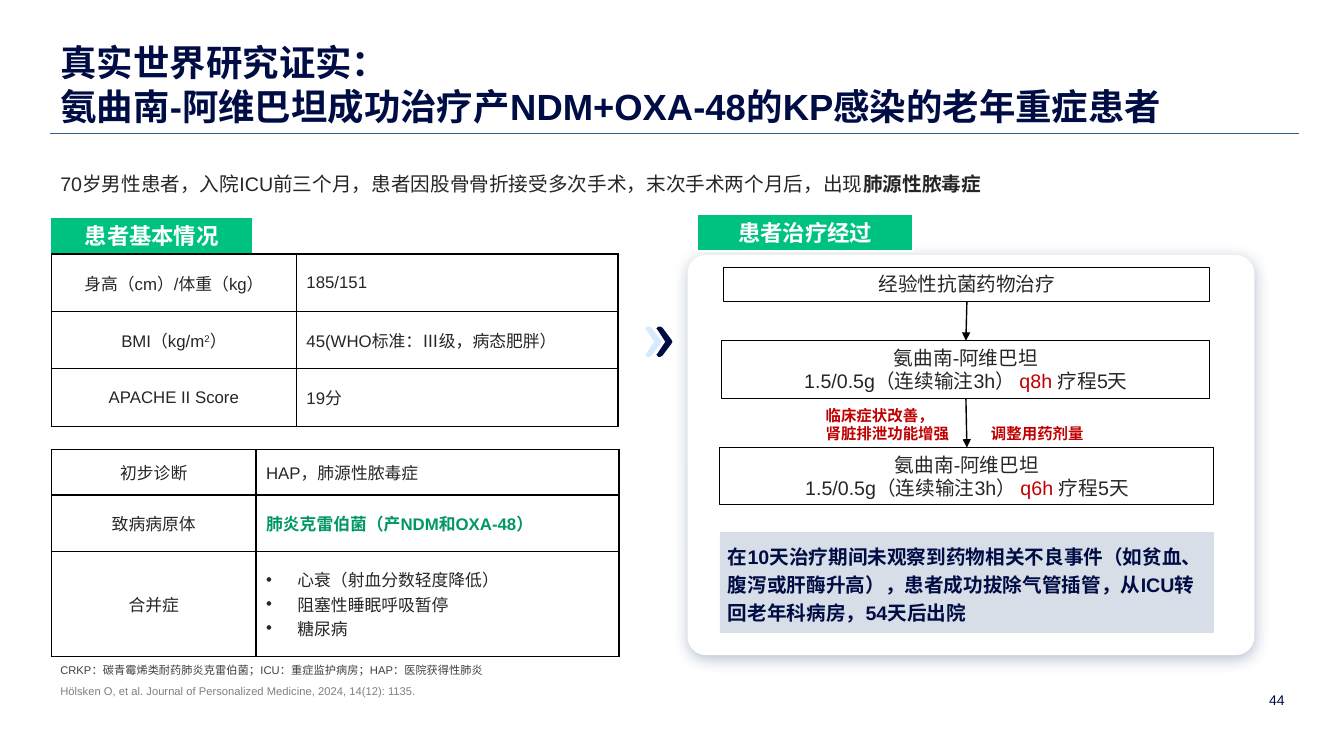
from lxml import etree
from pptx import Presentation
from pptx.dml.color import RGBColor
from pptx.enum.shapes import MSO_CONNECTOR as Connector, MSO_SHAPE as Shape
from pptx.enum.text import MSO_ANCHOR as Anchor, MSO_AUTO_SIZE as AutoSize, PP_ALIGN as Align
from pptx.oxml.ns import qn
from pptx.util import Inches, Pt

COLORS = {
    "navy": "000D45", "green": "00C280", "deep_green": "009765", "red": "C00000",
    "ink": "262626", "dark_gray": "404040", "gray": "808080", "slate": "405C87",
    "rule": "375D8B", "pale_blue": "D5E9FF", "white": "FFFFFF", "black": "000000",
}
RED = {"color": "red"}


def add_element(parent, tag, **attributes):
    return etree.SubElement(parent, qn(tag), {key: str(value) for key, value in attributes.items()})


class SlideBuilder:
    font_name = "Arial"

    def __init__(self, slide):
        self.slide = slide
        self.shapes = slide.shapes

    def color(self, name):
        return RGBColor.from_string(COLORS[name])

    def add_paragraphs(self, frame, paragraphs, size, color="ink", bold=False, align=Align.LEFT,
                       line_spacing=None, tab=None, bullets=False):
        """Each paragraph is a string or a list of (text, style overrides) runs."""
        for index, runs in enumerate(paragraphs):
            paragraph = frame.paragraphs[0] if index == 0 else frame.add_paragraph()
            paragraph.alignment = align
            if line_spacing:
                paragraph.line_spacing = line_spacing
            properties = paragraph._p.get_or_add_pPr()
            if bullets:
                properties.set("marL", str(Inches(0.31)))
                properties.set("indent", str(Inches(-0.31)))
                add_element(properties, "a:buFont", typeface=self.font_name)
                add_element(properties, "a:buChar", char="•")
            if tab:
                add_element(add_element(properties, "a:tabLst"), "a:tab", pos=Inches(tab), algn="l")
            for text, style in [(runs, {})] if isinstance(runs, str) else runs:
                run = paragraph.add_run()
                run.text = text
                run.font.name = self.font_name
                run.font.size = Pt(size)
                run.font.bold = style.get("bold", bold)
                run.font.color.rgb = self.color(style.get("color", color))
                if "baseline" in style:
                    run._r.get_or_add_rPr().set("baseline", str(style["baseline"]))

    def title(self, box, lines):
        title = self.shapes.title
        title.left, title.top, title.width, title.height = map(Inches, box)
        frame = title.text_frame
        frame.word_wrap = True
        frame.auto_size = AutoSize.NONE
        frame.vertical_anchor = Anchor.TOP
        self.add_paragraphs(frame, lines, 26, "navy", bold=True)

    def text(self, box, paragraphs, size, color="ink", anchor=Anchor.TOP, **style):
        frame = self.shapes.add_textbox(*map(Inches, box)).text_frame
        frame.word_wrap = True
        frame.vertical_anchor = anchor
        self.add_paragraphs(frame, paragraphs, size, color, **style)

    def box(self, box, fill=None, line=None, width=0.75, kind=Shape.RECTANGLE):
        shape = self.shapes.add_shape(kind, *map(Inches, box))
        self.paint(shape, fill, line, width)
        shape.text_frame.word_wrap = True
        shape.text_frame.vertical_anchor = Anchor.TOP
        return shape

    def paint(self, shape, fill, line=None, width=0.75):
        shape.shadow.inherit = False
        if fill:
            shape.fill.solid()
            shape.fill.fore_color.rgb = self.color(fill)
        else:
            shape.fill.background()
        if line:
            shape.line.color.rgb = self.color(line)
            shape.line.width = Pt(width)
        else:
            shape.line.fill.background()

    def panel(self, box):
        shape = self.box(box, "white", kind=Shape.ROUNDED_RECTANGLE)
        shape.adjustments[0] = 0.046
        effects = shape._element.spPr.find(qn("a:effectLst"))
        shadow = add_element(effects, "a:outerShdw", blurRad=Pt(11), dist=Pt(3),
                             dir=75 * 60000, algn="ctr", rotWithShape=0)
        tint = add_element(shadow, "a:srgbClr", val=COLORS["slate"])
        add_element(tint, "a:alpha", val=38000)

    def heading(self, box, text):
        shape = self.box(box, "green", "white", 1.5)
        shape.text_frame.vertical_anchor = Anchor.MIDDLE
        self.add_paragraphs(shape.text_frame, [text], 16, "white", bold=True, align=Align.CENTER)

    def step(self, box, paragraphs):
        shape = self.box(box, line="black")
        self.add_paragraphs(shape.text_frame, paragraphs, 14, align=Align.CENTER)
        return shape

    def conclusion(self, box, text):
        shape = self.box(box, "slate")
        tint = shape._element.spPr.find(qn("a:solidFill"))[0]
        add_element(tint, "a:alpha", val=20000)
        frame = shape.text_frame
        frame.margin_left = frame.margin_right = frame.margin_top = Inches(0.08)
        self.add_paragraphs(frame, [text], 14, "navy", bold=True, line_spacing=1.2)

    def line(self, start, end, color, width):
        line = self.shapes.add_connector(Connector.STRAIGHT, *map(Inches, start + end))
        line.line.color.rgb = self.color(color)
        line.line.width = Pt(width)
        add_element(line._element.spPr, "a:effectLst")
        return line

    def arrow(self, upper, lower):
        arrow = self.line((0, 0), (1, 1), "black", 1)
        arrow.begin_connect(upper, 2)
        arrow.end_connect(lower, 0)
        add_element(arrow._element.spPr.find(qn("a:ln")), "a:tailEnd", type="triangle")

    def chevron(self, left, middle, color):
        lower = [(0.01, 0.12), (0, 0.13), (0.02, 0.15), (0.04, 0.15), (0.06, 0.14), (0.15, 0.02)]
        upper = [(x, -y) for x, y in lower]
        outline = [(0.09, 0)] + upper + [(0.16, 0)] + lower[::-1]
        points = [(Inches(left + x), Inches(middle + y)) for x, y in outline]
        builder = self.shapes.build_freeform(*points[0])
        builder.add_line_segments(points[1:], close=True)
        self.paint(builder.convert_to_shape(), color)

    def table(self, left, top, columns, heights, rows):
        """Each row is a centred label and a list of paragraphs; several become bullets."""
        size = (sum(columns), sum(heights))
        table = self.shapes.add_table(len(rows), 2, *map(Inches, (left, top) + size)).table
        table.first_row = table.horz_banding = False
        for column, width in zip(table.columns, columns):
            column.width = Inches(width)
        for row, height, (label, details) in zip(table.rows, heights, rows):
            row.height = Inches(height)
            for cell in row.cells:
                self.border(cell)
                cell.fill.background()
                cell.vertical_anchor = Anchor.MIDDLE
            label_cell, detail_cell = row.cells
            self.add_paragraphs(label_cell.text_frame, [label], 12, align=Align.CENTER)
            self.add_paragraphs(detail_cell.text_frame, details, 12, bullets=len(details) > 1)

    def border(self, cell):
        properties = cell._tc.get_or_add_tcPr()
        for side in ("a:lnL", "a:lnR", "a:lnT", "a:lnB"):
            fill = add_element(add_element(properties, side, w=Pt(1)), "a:solidFill")
            add_element(fill, "a:srgbClr", val=COLORS["black"])


def main():
    presentation = Presentation()
    presentation.slide_width, presentation.slide_height = Inches(13.33), Inches(7.5)
    page = SlideBuilder(presentation.slides.add_slide(presentation.slide_layouts[5]))

    page.line((0.5, 1.32), (12.88, 1.32), "rule", 0.75)
    page.title((0.5, 0.35, 12.42, 0.95),
               ["真实世界研究证实：", "氨曲南-阿维巴坦成功治疗产NDM+OXA-48的KP感染的老年重症患者"])
    page.text((0.5, 1.54, 10.67, 0.41), [[
        ("70岁男性患者，入院ICU前三个月，患者因股骨骨折接受多次手术，末次手术两个月后，出现", {}),
        ("肺源性脓毒症", {"bold": True})]], 14, line_spacing=1.5)

    page.heading((0.5, 2.15, 2.01, 0.37), "患者基本情况")
    page.table(0.51, 2.52, (2.43, 3.19), (0.57, 0.57, 0.57), [
        ("身高（cm）/体重（kg）", ["185/151"]),
        ([("BMI（kg/m", {}), ("2", {"baseline": 30000}), ("）", {})],
         ["45(WHO标准：Ⅲ级，病态肥胖）"]),
        ("APACHE II Score", ["19分"])])
    page.table(0.51, 4.46, (2.03, 3.6), (0.45, 0.56, 1.04), [
        ("初步诊断", ["HAP，肺源性脓毒症"]),
        ("致病病原体", [[("肺炎克雷伯菌（产NDM和OXA-48）", {"color": "deep_green", "bold": True})]]),
        ("合并症", ["心衰（射血分数轻度降低）", "阻塞性睡眠呼吸暂停", "糖尿病"])])

    for left, color in ((6.4, "pale_blue"), (6.51, "navy")):
        page.chevron(left, 3.39, color)

    page.panel((6.82, 2.53, 5.62, 3.97))
    page.heading((6.91, 2.12, 2.15, 0.37), "患者治疗经过")
    steps = [page.step((7.18, 2.65, 4.82, 0.34), ["经验性抗菌药物治疗"])]
    for box, interval in (((7.16, 3.38, 4.84, 0.57), "q8h "), ((7.14, 4.44, 4.9, 0.57), "q6h ")):
        steps.append(page.step(box, ["氨曲南-阿维巴坦", [
            ("1.5/0.5g（连续输注3h） ", {}), (interval, RED), ("疗程5天", {})]]))
    for upper, lower in zip(steps, steps[1:]):
        page.arrow(upper, lower)
    page.text((8.09, 3.98, 3.32, 0.47), ["临床症状改善，", "肾脏排泄功能增强\t调整用药剂量"],
              11, "red", bold=True, tab=1.64)
    page.conclusion((7.14, 5.28, 4.9, 1), "在10天治疗期间未观察到药物相关不良事件（如贫血、腹泻或肝酶升高），"
                    "患者成功拔除气管插管，从ICU转回老年科病房，54天后出院")

    page.text((0.5, 6.53, 9.8, 0.24),
              ["CRKP：碳青霉烯类耐药肺炎克雷伯菌；ICU：重症监护病房；HAP：医院获得性肺炎"], 8, "dark_gray")
    page.text((0.5, 6.74, 9.8, 0.24),
              ["Hölsken O, et al. Journal of Personalized Medicine, 2024, 14(12): 1135."], 8, "gray")
    page.text((12.39, 6.74, 0.45, 0.4), ["44"], 10, "navy", Anchor.MIDDLE, align=Align.RIGHT)
    presentation.save("out.pptx")


if __name__ == "__main__":
    main()
